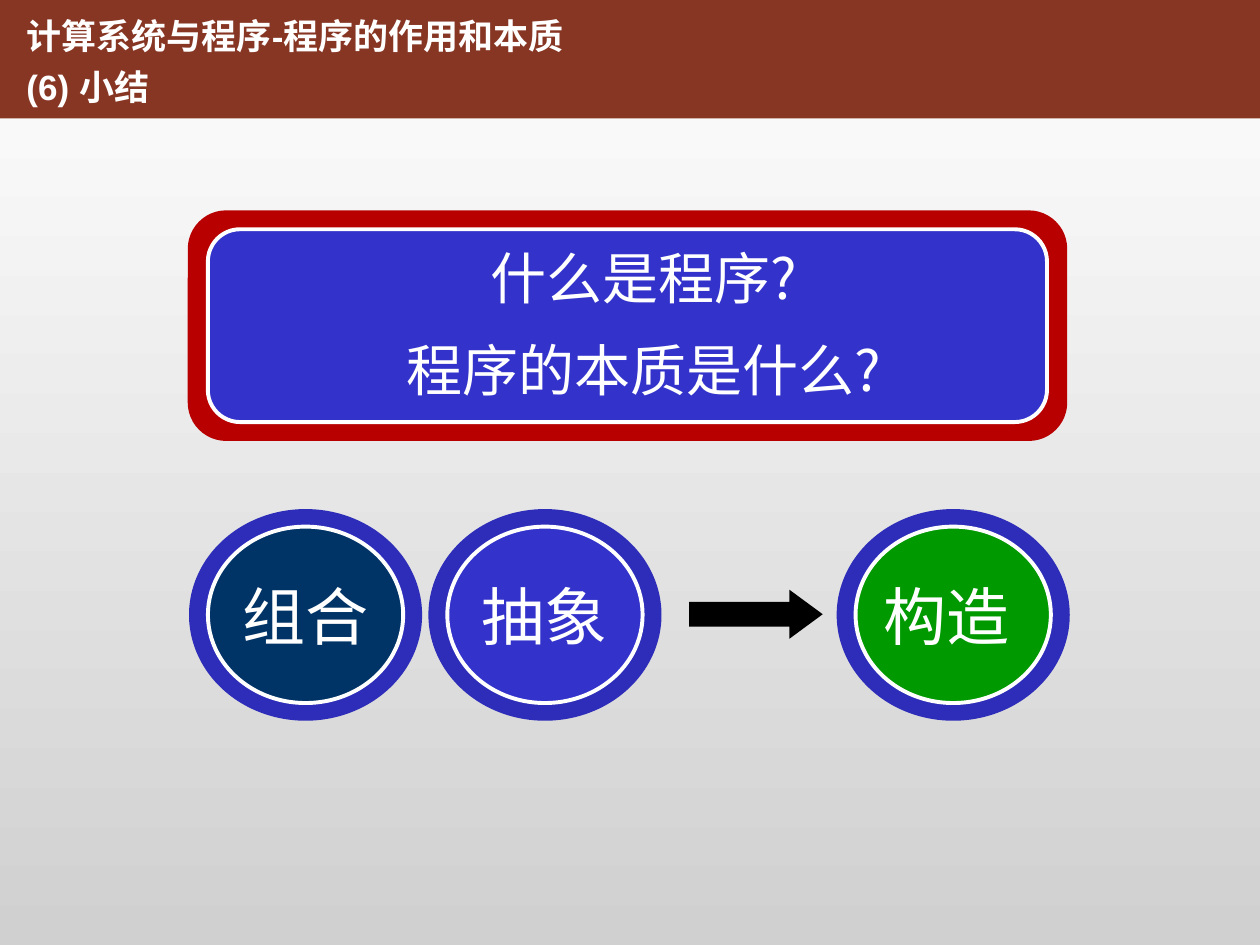
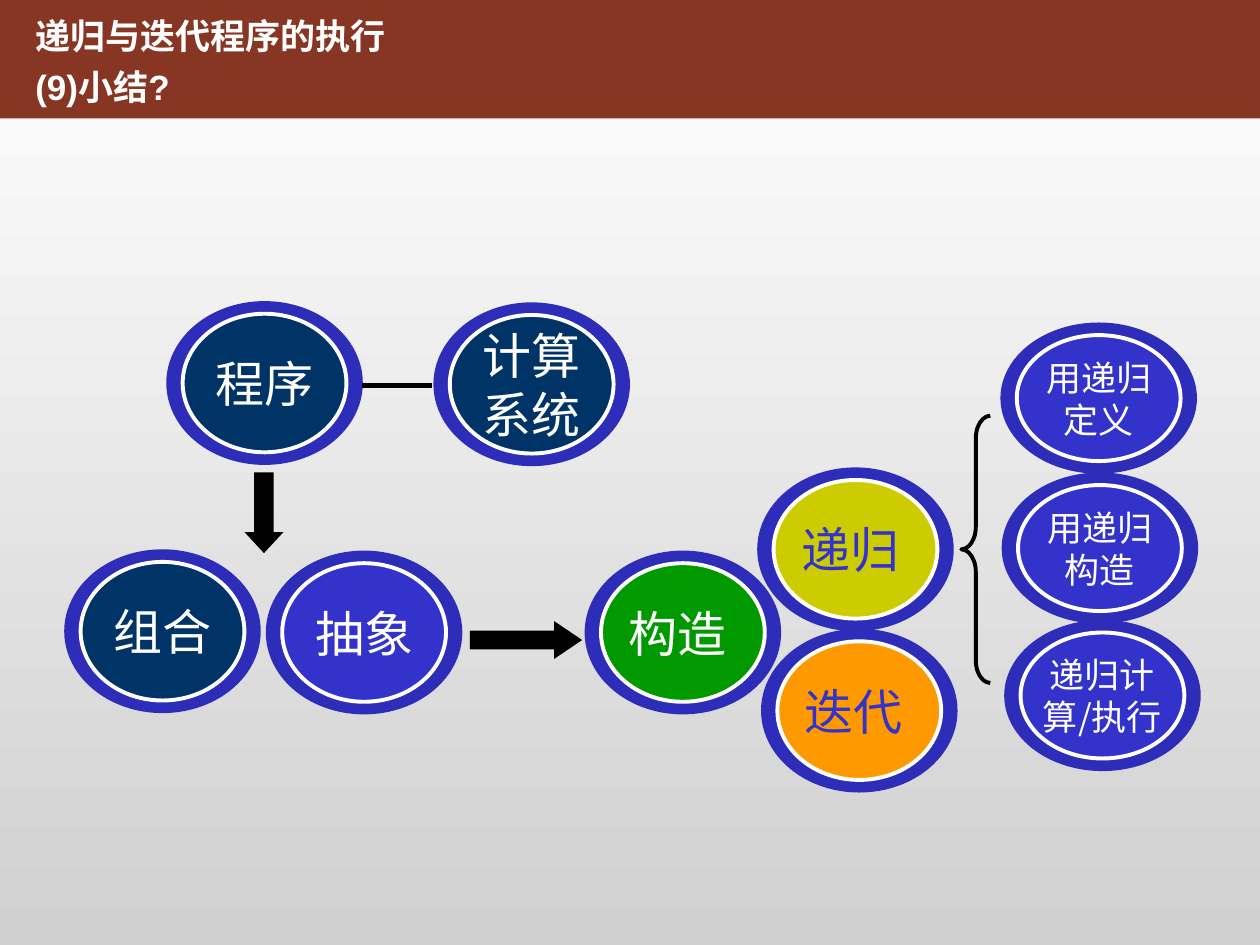
from dataclasses import dataclass

from lxml import etree
from pptx import Presentation
from pptx import util as u
from pptx.dml.color import RGBColor
from pptx.enum import shapes, text
from pptx.oxml.ns import qn


@dataclass(frozen=True)
class Theme:
    band: str = "873624"
    ring: str = "2D2DB9"
    frame: str = "B90000"
    navy: str = "003366"
    blue: str = "3333CC"
    green: str = "009900"
    olive: str = "CCCC00"
    orange: str = "FF9900"
    white: str = "FFFFFF"
    black: str = "000000"
    bg_end: str = "D0D0D0"
    latin: str = "Arial"
    cjk: str = "Noto Sans CJK SC"
    title_pt: int = 20
    banner_pt: int = 32
    outline_pt: float = 2.25
    link_pt: float = 3
    band_height: float = 0.94


@dataclass(frozen=True)
class NodeSize:
    width: float
    height: float
    inset_x: float
    inset_y: float
    ring: float
    pt: int


T = Theme()
LARGE = NodeSize(1.85, 1.68, 0.15, 0.14, 0.16, 36)
MEDIUM = NodeSize(1.56, 1.3, 0.13, 0.1, 0.13, 28)
SMALL = NodeSize(1.56, 1.2, 0.13, 0.1, 0.12, 20)
AUTO = shapes.MSO_SHAPE


def rgb(value):
    return RGBColor.from_string(value)


def box(*lengths):
    return [u.Inches(length) for length in lengths]


def add_shape(slide, kind, at, fill=None, line=None, adj=()):
    sp = slide.shapes.add_shape(kind, *box(*at))
    sp.shadow.inherit = False
    if fill:
        sp.fill.solid()
        sp.fill.fore_color.rgb = rgb(fill)
    else:
        sp.fill.background()
    if line:
        sp.line.color.rgb = rgb(line)
        sp.line.width = u.Pt(T.outline_pt)
    else:
        sp.line.fill.background()
    for i, value in enumerate(adj):
        sp.adjustments[i] = value
    return sp


def write(sp, content, pt, color, latin=T.cjk, bold=False,
          align=text.PP_ALIGN.CENTER, anchor=text.MSO_ANCHOR.MIDDLE,
          spacing=None, gap=0):
    tf = sp.text_frame
    tf.text = content
    tf.word_wrap = True
    tf.auto_size = text.MSO_AUTO_SIZE.NONE
    tf.vertical_anchor = anchor
    tf.margin_left = tf.margin_right = u.Inches(0.1)
    tf.margin_top = tf.margin_bottom = u.Inches(0.05)
    for i, p in enumerate(tf.paragraphs):
        p.alignment = align
        p.line_spacing = spacing
        p.space_before = u.Pt(gap if i else 0)
        for r in p.runs:
            r.font.size = u.Pt(pt)
            r.font.bold = bold
            r.font.color.rgb = rgb(color)
            r.font.name = latin
            ea = etree.SubElement(r.font._element, qn("a:ea"))
            ea.set("typeface", T.cjk)


def style_layout(layout, slide):
    fill = layout.background.fill
    fill.gradient()
    fill.gradient_angle = 270
    for stop, color in zip(fill.gradient_stops, (T.white, T.bg_end)):
        stop.color.rgb = rgb(color)
    band = add_shape(slide, AUTO.RECTANGLE, (0, 0, 10, T.band_height), T.band)
    layout.shapes._spTree.insert(2, band._element)


def add_title(slide, content, left, width):
    title = slide.shapes.title
    title.left, title.top, title.width, title.height = box(left, 0, width, 0.9)
    write(title, content, T.title_pt, T.white, T.latin, bold=True,
          align=text.PP_ALIGN.LEFT, anchor=text.MSO_ANCHOR.TOP, spacing=1.2)


def add_node(slide, label, left, top, size, fill, color=T.white):
    add_shape(slide, AUTO.DONUT, (left, top, size.width, size.height), T.ring,
              adj=(size.ring / size.height,))
    inner = (left + size.inset_x, top + size.inset_y,
             size.width - 2 * size.inset_x, size.height - 2 * size.inset_y)
    add_shape(slide, AUTO.OVAL, inner, fill, T.white)
    write(slide.shapes.add_textbox(*box(*inner)), label, size.pt, color)


def add_banner(slide, content):
    add_shape(slide, AUTO.ROUNDED_RECTANGLE, (1.49, 1.67, 6.98, 1.83), T.frame)
    panel = add_shape(slide, AUTO.ROUNDED_RECTANGLE, (1.65, 1.82, 6.66, 1.53),
                      T.blue, T.white)
    write(panel, content, T.banner_pt, T.white, gap=14)
    panel.text_frame.margin_left = u.Inches(0.36)
    panel.text_frame.margin_bottom = u.Inches(0.09)


def add_link(slide, x1, y1, x2, y2):
    link = slide.shapes.add_connector(shapes.MSO_CONNECTOR.STRAIGHT,
                                      *box(x1, y1, x2, y2))
    link.line.color.rgb = rgb(T.black)
    link.line.width = u.Pt(T.link_pt)
    etree.SubElement(link._element.spPr, qn("a:effectLst"))


def fill_program_summary(slide):
    add_title(slide, "计算系统与程序-程序的作用和本质\n(6) 小结", 0.11, 4.9)
    add_banner(slide, "什么是程序?\n程序的本质是什么?")
    for label, left, fill in (("组合", 1.5, T.navy), ("抽象", 3.4, T.blue),
                              ("构造 ", 6.64, T.green)):
        add_node(slide, label, left, 4.04, LARGE, fill)
    add_shape(slide, AUTO.RIGHT_ARROW, (5.47, 4.68, 1.06, 0.39), T.black,
              adj=(0.5, 0.68))


def fill_recursion_summary(slide):
    add_title(slide, "递归与迭代程序的执行\n(9)小结?", 0.18, 3.3)
    for label, left, top, fill, color in (
            ("组合", 0.51, 4.36, T.navy, T.white),
            ("抽象", 2.11, 4.37, T.blue, T.white),
            ("构造 ", 4.64, 4.37, T.green, T.white),
            ("递归 ", 6.01, 3.71, T.olive, T.blue),
            ("迭代 ", 6.04, 4.99, T.orange, T.blue),
            ("计算系统", 3.44, 2.4, T.navy, T.white),
            ("程序", 1.32, 2.39, T.navy, T.white)):
        add_node(slide, label, left, top, MEDIUM, fill, color)
    for label, left, top in (("用递归定义", 7.94, 2.56),
                             ("用递归构造", 7.95, 3.75),
                             ("递归计算/执行", 7.97, 4.92)):
        add_node(slide, label, left, top, SMALL, T.blue)
    add_shape(slide, AUTO.LEFT_BRACE, (7.63, 3.3, 0.23, 2.12), line=T.black,
              adj=(0.78, 0.5))
    add_link(slide, 2.87, 3.06, 3.43, 3.06)
    add_shape(slide, AUTO.RIGHT_ARROW, (3.73, 4.93, 0.89, 0.3), T.black,
              adj=(0.5, 0.74))
    add_shape(slide, AUTO.DOWN_ARROW, (1.94, 3.75, 0.31, 0.64), T.black,
              adj=(0.5, 0.54))


def main():
    prs = Presentation()
    prs.slide_width, prs.slide_height = box(10, 7.5)
    layout = prs.slide_layouts[5]
    program, recursion = [prs.slides.add_slide(layout) for _ in range(2)]
    style_layout(layout, program)
    fill_program_summary(program)
    fill_recursion_summary(recursion)
    prs.save("out.pptx")


if __name__ == "__main__":
    main()
